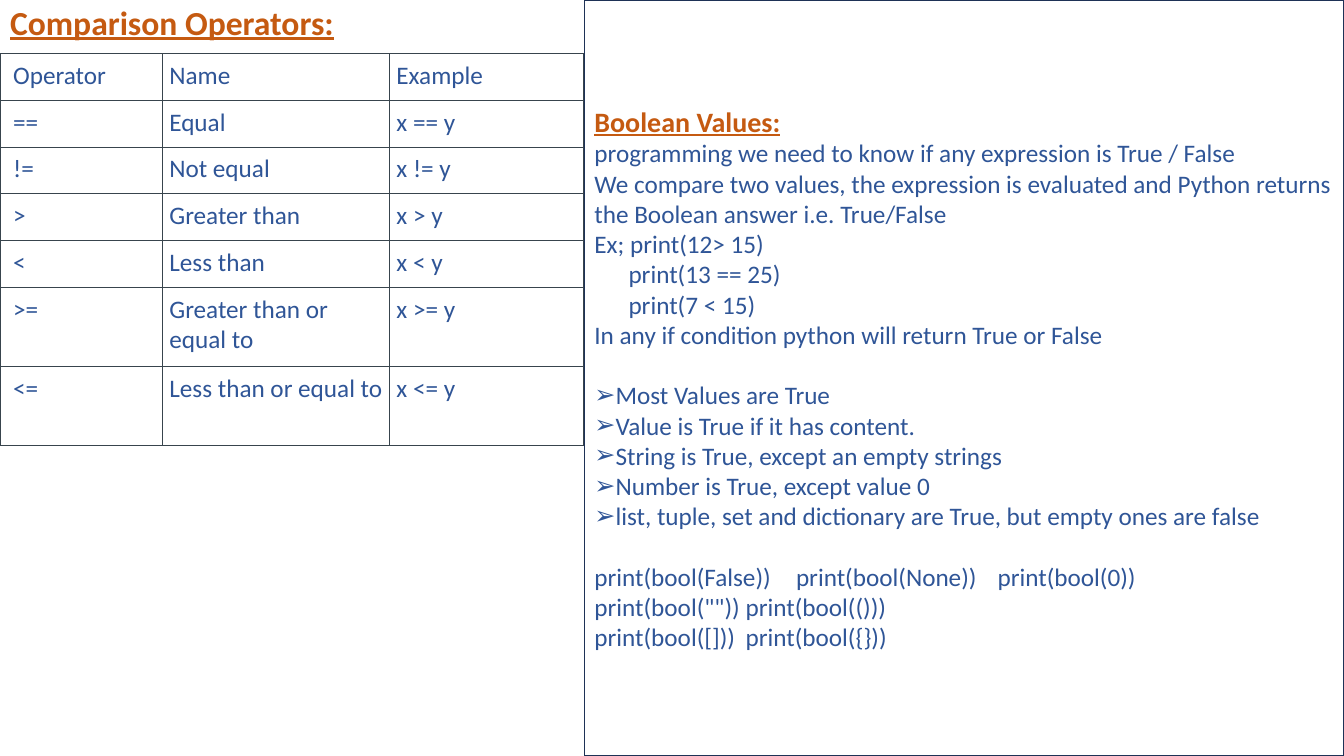
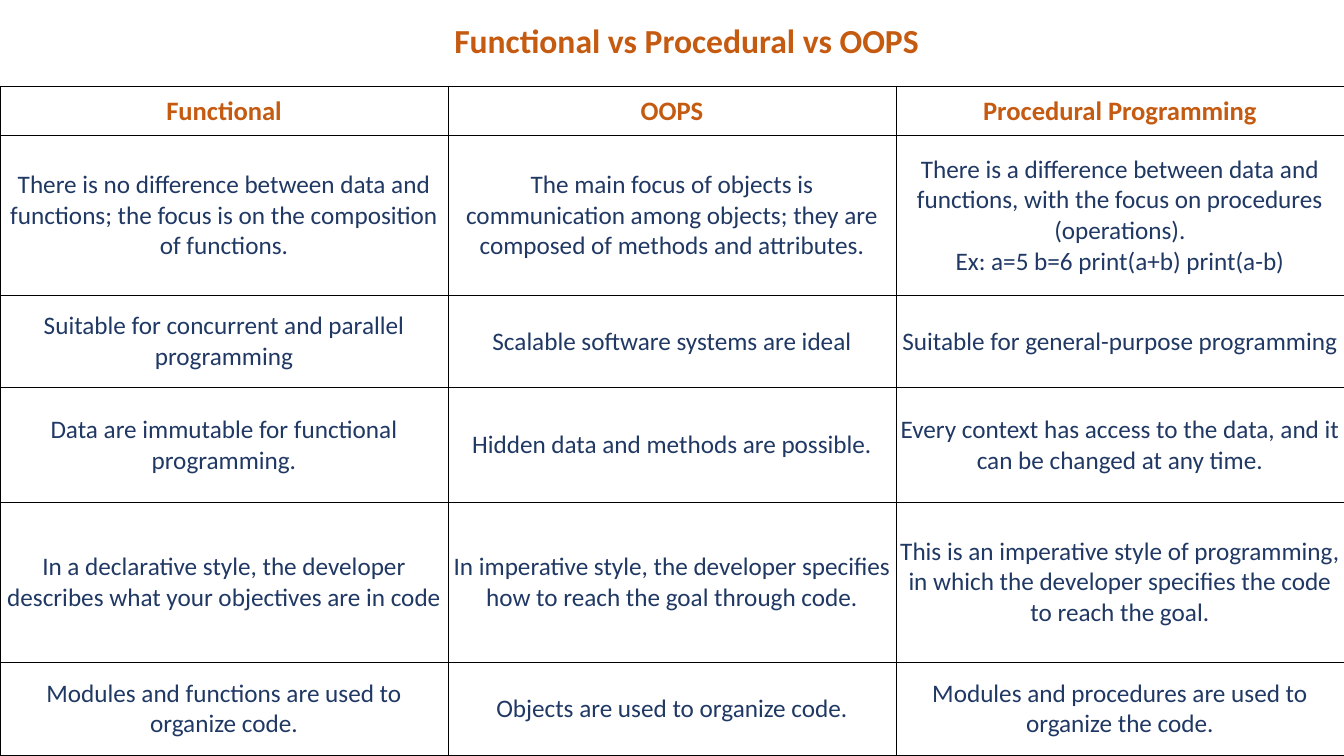
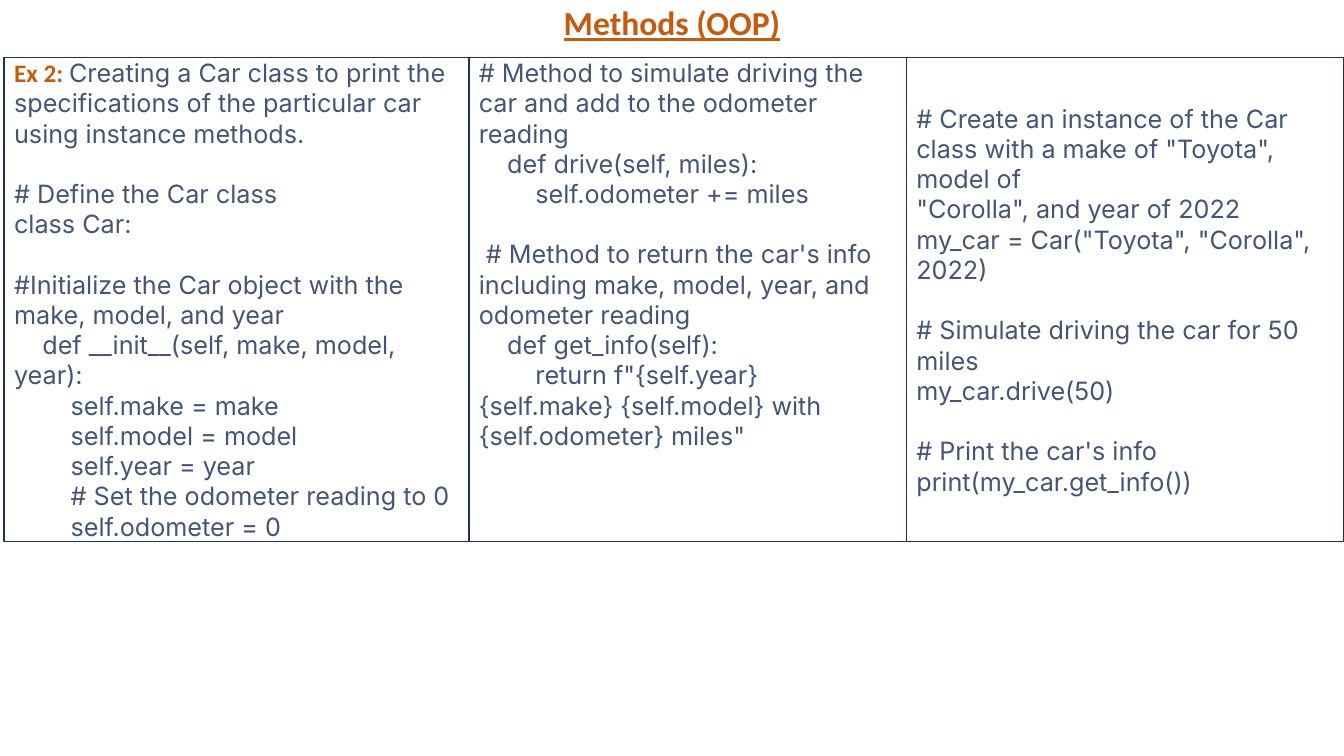
from dataclasses import dataclass
from itertools import product

from lxml.etree import SubElement
from pptx import Presentation
from pptx.dml.color import RGBColor
from pptx.enum.shapes import MSO_SHAPE
from pptx.enum.text import MSO_ANCHOR, MSO_AUTO_SIZE, PP_ALIGN
from pptx.oxml.ns import qn
from pptx.util import Pt


@dataclass(frozen=True)
class Theme:
    accent: RGBColor = RGBColor.from_string("C55A11")
    blue: RGBColor = RGBColor.from_string("2F5597")
    navy: RGBColor = RGBColor.from_string("203864")
    code: RGBColor = RGBColor.from_string("445578")
    outline: RGBColor = RGBColor.from_string("1E3256")
    white: RGBColor = RGBColor.from_string("FFFFFF")
    text_font: str = "Calibri"
    code_font: str = "Inter"
    title_size: Pt = Pt(24)
    heading_size: Pt = Pt(20)
    header_size: Pt = Pt(19)
    body_size: Pt = Pt(18)
    blank_line: Pt = Pt(21.6)


theme = Theme()


def write_lines(text_frame, lines, color, font_name=theme.text_font, align=PP_ALIGN.LEFT):
    """Write one paragraph per line; an empty line becomes space before the next."""
    paragraph, gap = text_frame.paragraphs[0], Pt(0)
    for number, line in enumerate(lines):
        if not line:
            gap = theme.blank_line
            continue
        if number:
            paragraph = text_frame.add_paragraph()
        paragraph.text = line
        paragraph.alignment = align
        paragraph.space_before, gap = gap, Pt(0)
        for run in paragraph.runs:
            run.font.name = font_name
            run.font.size = theme.body_size
            run.font.color.rgb = color


def add_grid(slide, rows, top, widths, heights, inset, border, color, align, anchor):
    """Add a white table with thin borders at the left edge of the slide."""
    frame = slide.shapes.add_table(len(rows), len(widths), Pt(0), Pt(top),
                                   Pt(sum(widths)), Pt(sum(heights)))
    table = frame.table
    table.first_row = table.horz_banding = False
    for column, width in zip(table.columns, widths):
        column.width = Pt(width)
    for row, height in zip(table.rows, heights):
        row.height = Pt(height)
    for row_index, column_index in product(range(len(rows)), range(len(widths))):
        cell = table.cell(row_index, column_index)
        write_lines(cell.text_frame, rows[row_index][column_index].split("\n"), color, align=align)
        cell.vertical_anchor = anchor
        cell.margin_left = cell.margin_right = cell.margin_top = cell.margin_bottom = Pt(inset)
        properties = cell._tc.get_or_add_tcPr()
        for side in ("a:lnL", "a:lnR", "a:lnT", "a:lnB"):
            line = SubElement(properties, qn(side), w=str(Pt(0.6)))
            SubElement(SubElement(line, qn("a:solidFill")), qn("a:srgbClr"), val=border)
        cell.fill.solid()
        cell.fill.fore_color.rgb = theme.white
    return table


presentation = Presentation()
presentation.slide_width, presentation.slide_height = Pt(960), Pt(540)
content_layout, title_layout = presentation.slide_layouts[1], presentation.slide_layouts[5]

# Slides and their titles: layout, text, left, top, width, alignment, underline
titles = [
    (content_layout, "Comparison Operators:", 0, 0.5, 417, PP_ALIGN.LEFT, True),
    (title_layout, "Functional vs Procedural vs OOPS", 250, 13.5, 481, PP_ALIGN.CENTER, False),
    (title_layout, "Methods (OOP)", 0, 1, 960, PP_ALIGN.CENTER, True),
]
for layout, text, left, top, width, align, underline in titles:
    title = presentation.slides.add_slide(layout).shapes.title
    title.left, title.top, title.width, title.height = Pt(left), Pt(top), Pt(width), Pt(30)
    text_frame = title.text_frame
    text_frame.auto_size = MSO_AUTO_SIZE.NONE
    text_frame.vertical_anchor = MSO_ANCHOR.MIDDLE
    text_frame.margin_top = text_frame.margin_bottom = Pt(0)
    write_lines(text_frame, [text], theme.accent, align=align)
    font = text_frame.paragraphs[0].runs[0].font
    font.size, font.bold, font.underline = theme.title_size, True, underline
operators_slide, paradigms_slide, methods_slide = presentation.slides

# Comparison operators table
operators = [
    ("Operator", "Name", "Example"),
    ("==", "Equal", "x == y"),
    ("!=", "Not equal", "x != y"),
    (">", "Greater than", "x > y"),
    ("<", "Less than", "x < y"),
    (">=", "Greater than or equal to", "x >= y"),
    ("<=", "Less than or equal to", "x <= y"),
]
operator_table = add_grid(operators_slide, operators, 38.2, [116, 162.2, 138.8],
                          [33.4] * 5 + [56.5] * 2, 5, "38444D", theme.blue,
                          PP_ALIGN.LEFT, MSO_ANCHOR.TOP)
for row in operator_table.rows:
    row.cells[0].margin_left = Pt(9.4)

# Boolean values panel
truth_rules = [
    "Most Values are True",
    "Value is True if it has content.",
    "String is True, except an empty strings",
    "Number is True, except value 0",
    "list, tuple, set and dictionary are True, but empty ones are false",
]
boolean_lines = [
    "Boolean Values:",
    "programming we need to know if any expression is True / False",
    "We compare two values, the expression is evaluated and Python returns "
    "the Boolean answer i.e. True/False",
    "Ex; print(12> 15)",
    "      print(13 == 25)",
    "      print(7 < 15)",
    "In any if condition python will return True or False",
    "",
    *truth_rules,
    "",
    "print(bool(False))\tprint(bool(None))\tprint(bool(0))",
    'print(bool(""))\tprint(bool(()))',
    "print(bool([]))\tprint(bool({}))",
]
panel = operators_slide.placeholders[1]
panel.left, panel.top, panel.width, panel.height = Pt(417.4), Pt(0), Pt(542.6), Pt(540)
panel.fill.solid()
panel.fill.fore_color.rgb = theme.white
panel.line.color.rgb = theme.outline
panel.line.width = Pt(1)
panel.text_frame.auto_size = MSO_AUTO_SIZE.NONE
panel.text_frame.vertical_anchor = MSO_ANCHOR.MIDDLE
write_lines(panel.text_frame, boolean_lines, theme.blue)
for paragraph in panel.text_frame.paragraphs:
    properties = paragraph._p.get_or_add_pPr()
    is_rule = paragraph.text in truth_rules
    hanging = Pt(14.5) if is_rule else 0
    properties.set("marL", str(hanging))
    properties.set("indent", str(-hanging))
    if is_rule:
        SubElement(properties, qn("a:buChar"), char="➢")
    else:
        SubElement(properties, qn("a:buNone"))
    if "\t" in paragraph.text:
        tabs = SubElement(properties, qn("a:tabLst"))
        for position in (144, 360):
            SubElement(tabs, qn("a:tab"), pos=str(Pt(position)), algn="l")
font = panel.text_frame.paragraphs[0].runs[0].font
font.size, font.bold, font.underline = theme.heading_size, True, True
font.color.rgb = theme.accent

# Programming paradigms table
paradigms = [
    ("Functional", "OOPS", "Procedural Programming"),
    ("There is no difference between data and functions; the focus is on the composition "
     "of functions.",
     "The main focus of objects is communication among objects; they are composed of methods "
     "and attributes.",
     "There is a difference between data and functions, with the focus on procedures "
     "(operations).\nEx: a=5 b=6 print(a+b) print(a-b)"),
    ("Suitable for concurrent and parallel programming",
     "Scalable software systems are ideal",
     "Suitable for general-purpose programming"),
    ("Data are immutable for functional programming.",
     "Hidden data and methods are possible.",
     "Every context has access to the data, and it can be changed at any time."),
    ("In a declarative style, the developer describes what your objectives are in code",
     "In imperative style, the developer specifies how to reach the goal through code.",
     "This is an imperative style of programming, in which the developer specifies the code "
     "to reach the goal."),
    ("Modules and functions are used to organize code.",
     "Objects are used to organize code.",
     "Modules and procedures are used to organize the code."),
]
paradigm_table = add_grid(paradigms_slide, paradigms, 62, [320] * 3, [35, 114, 66, 82, 114, 67],
                          1.4, "000000", theme.navy, PP_ALIGN.CENTER, MSO_ANCHOR.MIDDLE)
for cell in paradigm_table.rows[0].cells:
    font = cell.text_frame.paragraphs[0].runs[0].font
    font.size, font.bold, font.color.rgb = theme.header_size, True, theme.accent

# Car class code in three columns: width, anchor, lines
code_columns = [
    (332, MSO_ANCHOR.TOP, [
        "Creating a Car class to print the specifications of the particular car "
        "using instance methods.",
        "",
        "# Define the Car class",
        "class Car:",
        "",
        "#Initialize the Car object with the make, model, and year",
        "    def __init__(self, make, model, year):",
        "        self.make = make",
        "        self.model = model",
        "        self.year = year",
        "        # Set the odometer reading to 0",
        "        self.odometer = 0",
    ]),
    (312.5, MSO_ANCHOR.TOP, [
        "# Method to simulate driving the car and add to the odometer reading",
        "    def drive(self, miles):",
        "        self.odometer += miles",
        "",
        " # Method to return the car's info including make, model, year, and odometer reading",
        "    def get_info(self):",
        '        return f"{self.year} {self.make} {self.model} with {self.odometer} miles"',
    ]),
    (312.5, MSO_ANCHOR.MIDDLE, [
        '# Create an instance of the Car class with a make of "Toyota", model of',
        '"Corolla", and year of 2022',
        'my_car = Car("Toyota", "Corolla", 2022)',
        "",
        "# Simulate driving the car for 50 miles",
        "my_car.drive(50)",
        "",
        "# Print the car's info",
        "print(my_car.get_info())",
    ]),
]
left = 3
code_boxes = []
for width, anchor, lines in code_columns:
    box = methods_slide.shapes.add_shape(MSO_SHAPE.RECTANGLE, Pt(left), Pt(41), Pt(width), Pt(346))
    box.shadow.inherit = False
    box.fill.solid()
    box.fill.fore_color.rgb = theme.white
    box.line.color.rgb = theme.outline
    box.line.width = Pt(1)
    text_frame = box.text_frame
    text_frame.word_wrap = True
    text_frame.vertical_anchor = anchor
    text_frame.margin_top = text_frame.margin_bottom = Pt(0)
    write_lines(text_frame, lines, theme.code, theme.code_font)
    code_boxes.append(box)
    left += width

# Example label in front of the first column's text
intro = code_boxes[0].text_frame.paragraphs[0]
label, description = intro.runs[0], intro.add_run()
description.text, label.text = label.text, "Ex 2: "
description.font.name, description.font.size = theme.code_font, theme.body_size
description.font.color.rgb = theme.code
label.font.name, label.font.bold = theme.text_font, True
label.font.color.rgb = theme.accent

presentation.save("out.pptx")
